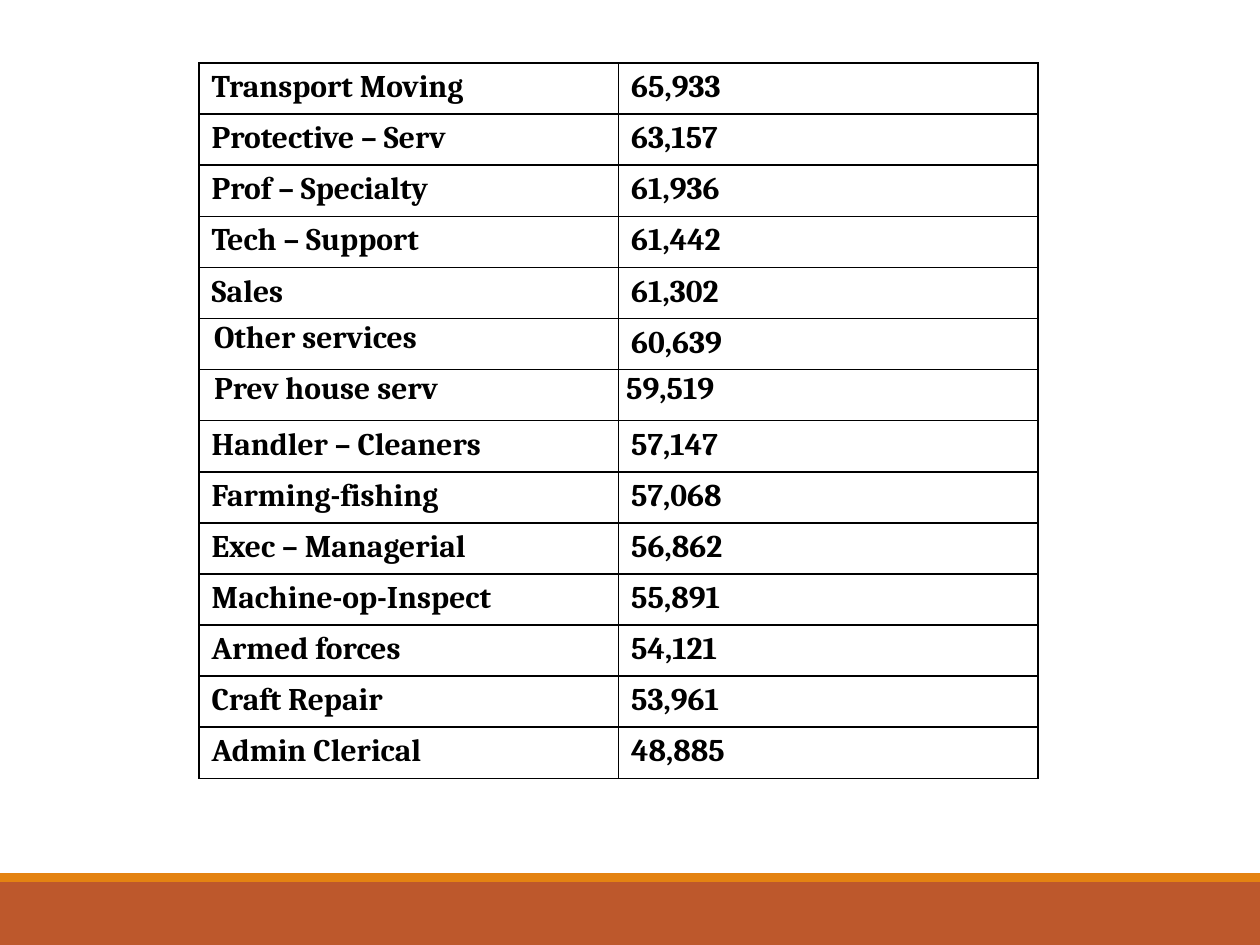
from lxml.etree import SubElement
from pptx import Presentation
from pptx.dml.color import RGBColor
from pptx.enum.shapes import MSO_SHAPE
from pptx.oxml.ns import qn
from pptx.util import Inches, Pt

COLORS = {"text": "000000", "border": "000000", "paper": "FFFFFF",
          "footer": "BD582C", "stripe": "E48312"}
TABLE_LEFT, TABLE_TOP = 1.58, 0.5
COLUMN_WIDTH, ROW_HEIGHT = 3.33, 5.68 / 14
TEXT_FORMAT = {"name": "Cambria", "size": Pt(18), "bold": True}
TIGHT_MARGINS = {"margin_top": 0.01, "margin_right": 0.01, "margin_bottom": 0}
# Left margin of each cell that sits tight under its top border
TIGHT_CELLS = {"Other services": 0.12, "Prev house serv": 0.12, "59,519": 0.06}
OCCUPATIONS = [
    ("Transport Moving", "65,933"),
    ("Protective – Serv", "63,157"),
    ("Prof – Specialty", "61,936"),
    ("Tech – Support", "61,442"),
    ("Sales", "61,302"),
    ("Other services", "60,639"),
    ("Prev house serv", "59,519"),
    ("Handler – Cleaners", "57,147"),
    ("Farming-fishing", "57,068"),
    ("Exec – Managerial", "56,862"),
    ("Machine-op-Inspect", "55,891"),
    ("Armed forces", "54,121"),
    ("Craft Repair", "53,961"),
    ("Admin Clerical", "48,885"),
]


def color(name):
    return RGBColor.from_string(COLORS[name])


def add_band(slide, top, height, fill, slide_width):
    band = slide.shapes.add_shape(MSO_SHAPE.RECTANGLE, 0, Inches(top),
                                  slide_width, Inches(height))
    band.shadow.inherit = False
    band.fill.solid()
    band.fill.fore_color.rgb = color(fill)
    band.line.fill.background()


def add_borders(cell):
    properties = cell._tc.get_or_add_tcPr()
    for position, side in enumerate(("a:lnL", "a:lnR", "a:lnT", "a:lnB")):
        line = properties.makeelement(qn(side), {"w": str(Pt(1))})
        fill = SubElement(line, qn("a:solidFill"))
        SubElement(fill, qn("a:srgbClr"), val=COLORS["border"])
        properties.insert(position, line)


def format_cell(cell, text):
    cell.text = text
    cell.fill.solid()
    cell.fill.fore_color.rgb = color("paper")
    add_borders(cell)
    if text in TIGHT_CELLS:
        margins = {**TIGHT_MARGINS, "margin_left": TIGHT_CELLS[text]}
        for name, value in margins.items():
            setattr(cell, name, Inches(value))
    font = cell.text_frame.paragraphs[0].runs[0].font
    for name, value in TEXT_FORMAT.items():
        setattr(font, name, value)
    font.color.rgb = color("text")


def add_occupation_table(slide):
    row_count, column_count = len(OCCUPATIONS), len(OCCUPATIONS[0])
    table = slide.shapes.add_table(
        row_count, column_count, Inches(TABLE_LEFT), Inches(TABLE_TOP),
        Inches(COLUMN_WIDTH * column_count), Inches(ROW_HEIGHT * row_count)).table
    table.first_row = table.horz_banding = False
    for row, texts in zip(table.rows, OCCUPATIONS):
        for cell, text in zip(row.cells, texts):
            format_cell(cell, text)


def main():
    presentation = Presentation()
    presentation.slide_width, presentation.slide_height = Inches(10), Inches(7.5)
    slide = presentation.slides.add_slide(presentation.slide_layouts[6])
    add_band(slide, 7, 0.5, "footer", presentation.slide_width)
    add_band(slide, 6.93, 0.07, "stripe", presentation.slide_width)
    add_occupation_table(slide)
    presentation.save("out.pptx")


if __name__ == "__main__":
    main()
